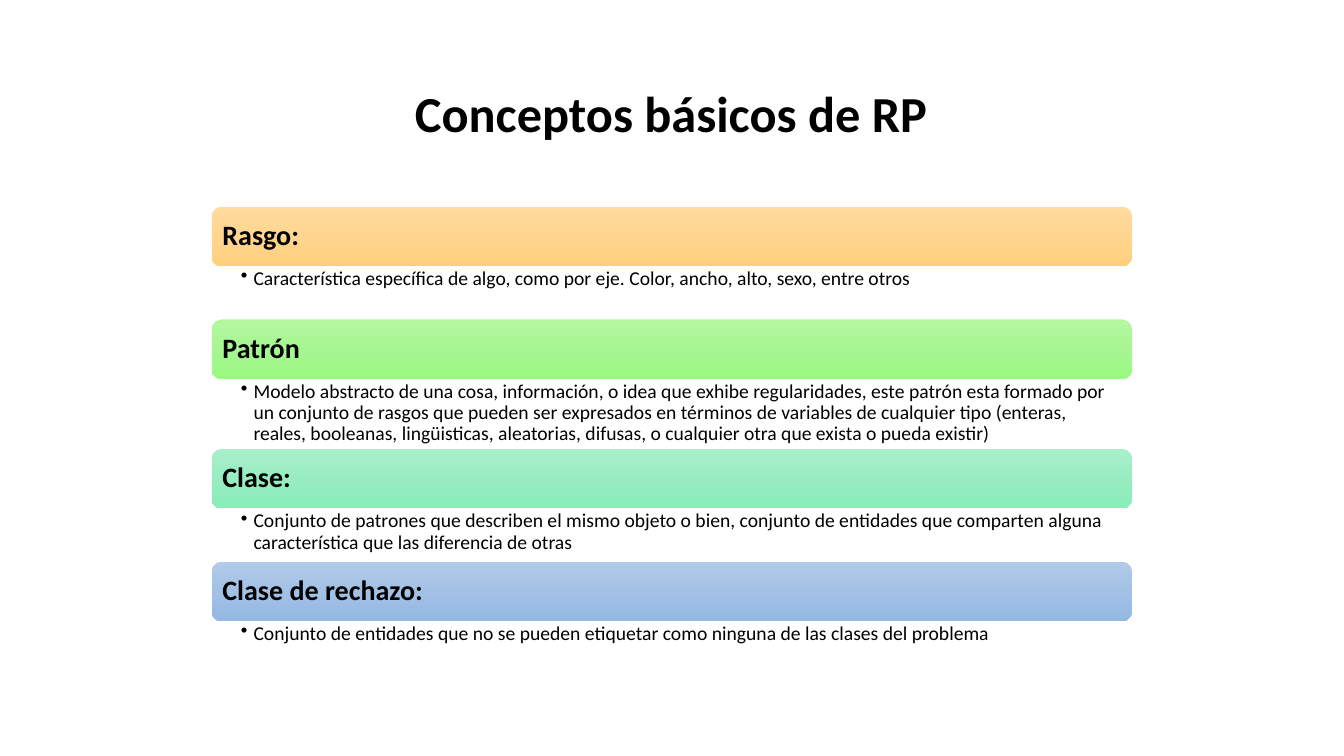
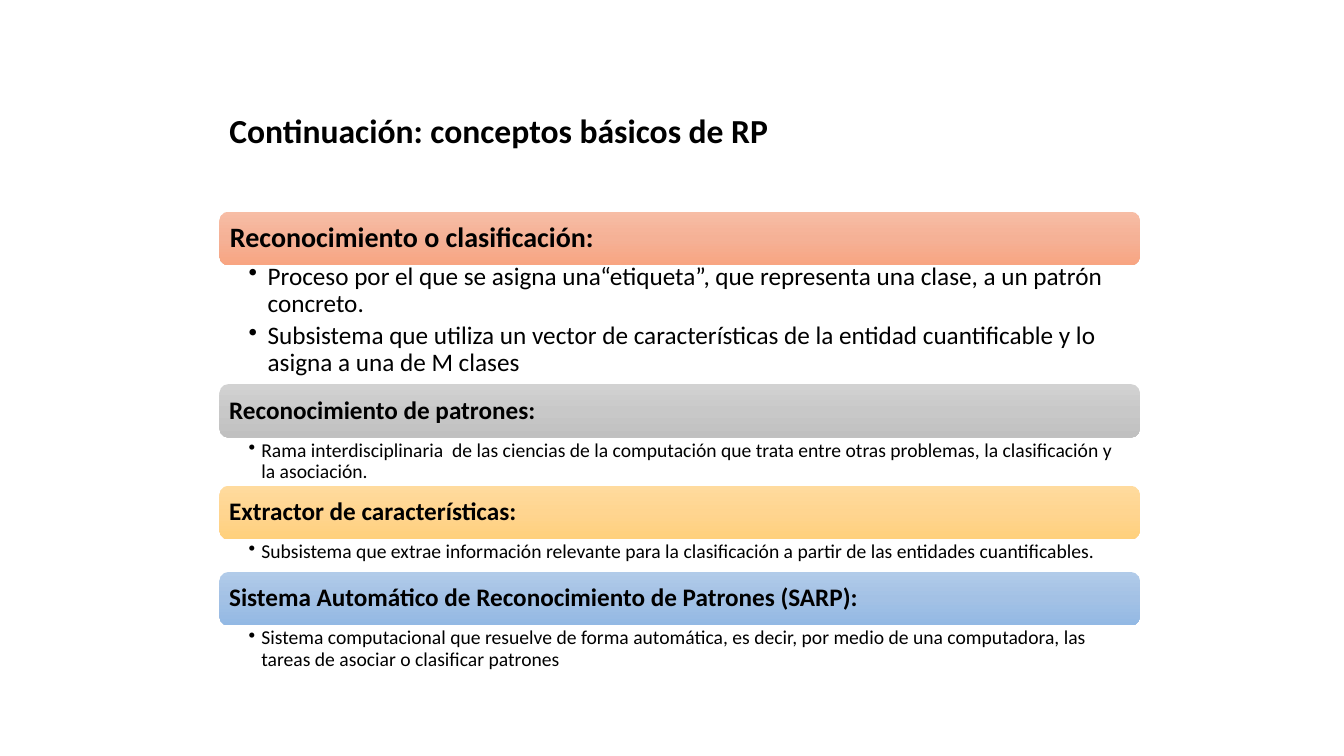
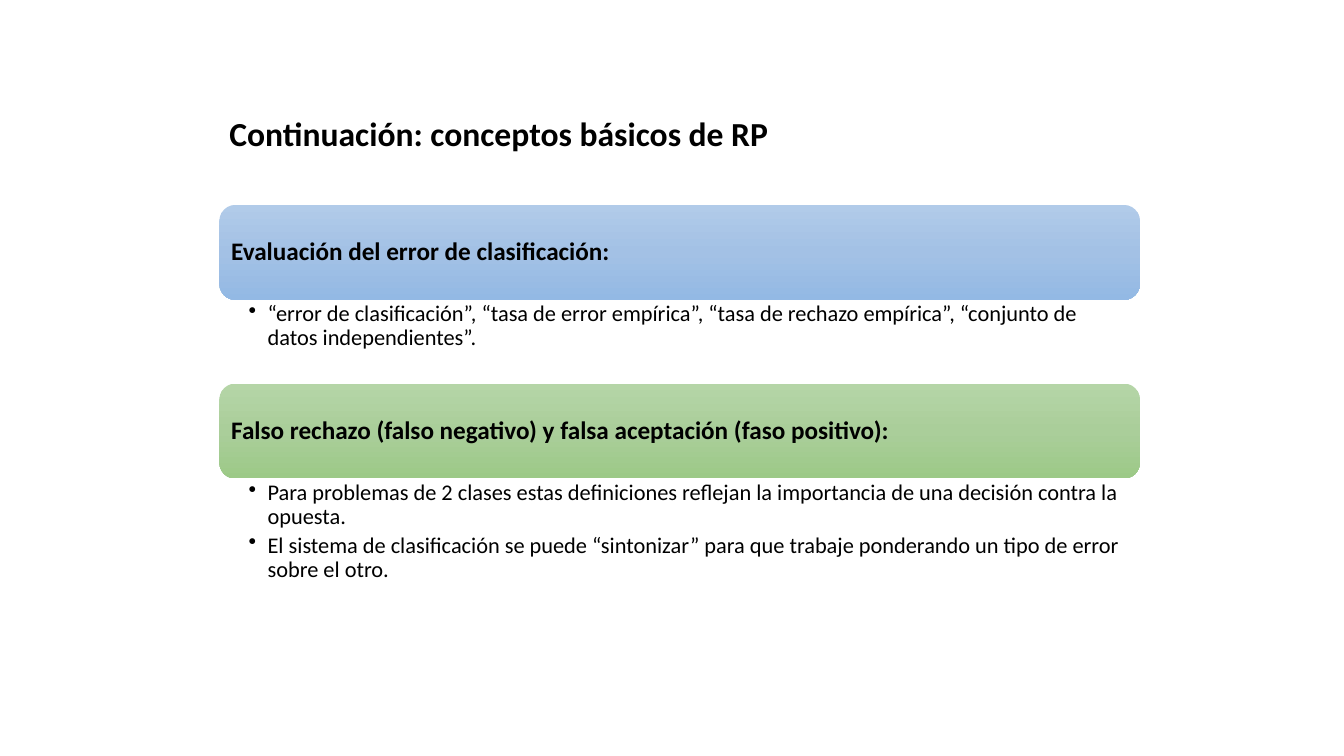
from copy import deepcopy

from pptx import Presentation
from pptx.dml.color import RGBColor
from pptx.enum.shapes import MSO_SHAPE
from pptx.enum.text import MSO_ANCHOR, PP_ALIGN
from pptx.oxml.ns import qn
from pptx.oxml.xmlchemy import OxmlElement
from pptx.util import Pt

# Colours: each band runs from top through middle to bottom
TEXT = "000000"
GRADIENTS = {
    "amber": ("FFDB9E", "FFD590", "FFD07C"),
    "lime": ("B3F8A1", "A7F693", "98FA7E"),
    "mint": ("A8F0CA", "99ECC1", "86EEB9"),
    "blue": ("B1CBE9", "A3C1E5", "93B9E4"),
    "coral": ("F7BDA5", "F5B196", "F8A582"),
    "grey": ("D2D2D2", "C8C8C8", "C0C0C0"),
    "green": ("B5D5A7", "AACE9A", "9CC987"),
}


class Deck:
    font = "Calibri"
    band_width = 657.4
    title_width, title_height = 612, 72.7

    def __init__(self):
        self.presentation = Presentation()
        self.presentation.slide_width = Pt(960)
        self.presentation.slide_height = Pt(540)
        self.slide = None

    def new_slide(self):
        self.slide = self.presentation.slides.add_slide(self.presentation.slide_layouts[6])

    def style(self, paragraph, size, bold=False):
        for run in paragraph.runs:
            run.font.name = self.font
            run.font.size = Pt(size)
            run.font.bold = bold
            run.font.color.rgb = RGBColor.from_string(TEXT)

    def frame(self, shape, insets, anchor):
        text_frame = shape.text_frame
        text_frame.word_wrap = True
        text_frame.vertical_anchor = anchor
        (text_frame.margin_left, text_frame.margin_top,
         text_frame.margin_right, text_frame.margin_bottom) = map(Pt, insets)
        return text_frame

    def title(self, wording, left, top, size, align=PP_ALIGN.LEFT):
        heading = self.slide.shapes.add_textbox(
            Pt(left), Pt(top), Pt(self.title_width), Pt(self.title_height))
        text_frame = self.frame(heading, (7.2, 3.6, 7.2, 3.6), MSO_ANCHOR.MIDDLE)
        text_frame.text = wording
        text_frame.paragraphs[0].alignment = align
        self.style(text_frame.paragraphs[0], size, bold=True)

    def band(self, term, left, top, height, colour, size):
        band = self.slide.shapes.add_shape(
            MSO_SHAPE.ROUNDED_RECTANGLE, Pt(left), Pt(top), Pt(self.band_width), Pt(height))
        band.shadow.inherit = False
        band.line.fill.background()
        band.fill.gradient()
        band.fill.gradient_angle = 270
        first_stop = band._element.spPr.find(".//" + qn("a:gs"))
        first_stop.addnext(deepcopy(first_stop))
        for index, shade in enumerate(GRADIENTS[colour]):
            stop = band.fill.gradient_stops[index]
            stop.position = index / 2
            stop.color.rgb = RGBColor.from_string(shade)

        inset = 0.28 * size
        text_frame = self.frame(band, [inset] * 4, MSO_ANCHOR.MIDDLE)
        text_frame.text = term
        paragraph = text_frame.paragraphs[0]
        paragraph.alignment = PP_ALIGN.LEFT
        paragraph.line_spacing = 0.9
        self.style(paragraph, size, bold=True)

    def definitions(self, lines, left, top, height, size, right_inset):
        box = self.slide.shapes.add_textbox(
            Pt(left), Pt(top), Pt(self.band_width), Pt(height))
        text_frame = self.frame(box, (20.9, 1.8, right_inset, 1.8), MSO_ANCHOR.TOP)
        text_frame.text = "\n".join(lines)
        hanging = Pt(9 if size <= 14 else 13.5)
        for paragraph in text_frame.paragraphs:
            properties = paragraph._p.get_or_add_pPr()
            properties.set("marL", str(hanging))
            properties.set("indent", str(-hanging))
            bullet = OxmlElement("a:buChar")
            bullet.set("char", "•")
            properties.append(bullet)
            paragraph.level = 1
            paragraph.line_spacing = 0.9
            paragraph.space_after = Pt(0.2 * size)
            self.style(paragraph, size)

    def glossary(self, entries, left, top, band_height, right_inset):
        """Stack bands and their definitions from top to bottom."""
        for term, colour, term_size, size, height, lift, lines in entries:
            self.band(term, left, top, band_height, colour, term_size)
            top += band_height
            self.definitions(lines, left, top - lift, height + lift, size, right_inset)
            top += height


# Entries: term, colour, term size, text size, text height, overlap with band, lines
BASICS = [
    ("Rasgo:", "amber", 20, 14, 38, 0,
     ["Característica específica de algo, como por eje. Color, ancho, alto, sexo, entre otros"]),
    ("Patrón", "lime", 20, 14, 49.8, 0,
     ["Modelo abstracto de una cosa, información, o idea que exhibe regularidades, este patrón "
      "esta formado por un conjunto de rasgos que pueden ser expresados en términos de variables "
      "de cualquier tipo (enteras, reales, booleanas, lingüisticas, aleatorias, difusas, o "
      "cualquier otra que exista o pueda existir)"]),
    ("Clase:", "mint", 20, 14, 38, 0,
     ["Conjunto de patrones que describen el mismo objeto o bien, conjunto de entidades que "
      "comparten alguna característica que las diferencia de otras"]),
    ("Clase de rechazo:", "blue", 20, 14, 38, 0,
     ["Conjunto de entidades que no se pueden etiquetar como ninguna de las clases del problema"]),
]
RECOGNITION = [
    ("Reconocimiento o clasificación:", "coral", 20, 18, 85, 3,
     ["Proceso por el que se asigna una“etiqueta”, que representa una clase, a un patrón concreto.",
      "Subsistema que utiliza un vector de características de la entidad cuantificable y lo "
      "asigna a una de M clases"]),
    ("Reconocimiento de patrones:", "grey", 18, 14, 34.4, 0,
     ["Rama interdisciplinaria  de las ciencias de la computación que trata entre otras "
      "problemas, la clasificación y la asociación."]),
    ("Extractor de características:", "amber", 18, 14, 23.4, 0,
     ["Subsistema que extrae información relevante para la clasificación a partir de las "
      "entidades cuantificables."]),
    ("Sistema Automático de Reconocimiento de Patrones (SARP):", "blue", 18, 14, 34.4, 0,
     ["Sistema computacional que resuelve de forma automática, es decir, por medio de una "
      "computadora, las tareas de asociar o clasificar patrones"]),
]
ERRORS = [
    ("Evaluación del error de clasificación:", "blue", 18, 16, 59.8, 0,
     ["“error de clasificación”, “tasa de error empírica”, “tasa de rechazo empírica”, "
      "“conjunto de datos independientes”."]),
    ("Falso rechazo (falso negativo) y falsa aceptación (faso positivo):", "green", 18, 16, 78.5, 0,
     ["Para problemas de 2 clases estas definiciones reflejan la importancia de una decisión "
      "contra la opuesta.",
      "El sistema de clasificación se puede “sintonizar” para que trabaje ponderando un tipo de "
      "error sobre el otro."]),
]
CONTINUATION = "Continuación: conceptos básicos de RP"


def main():
    deck = Deck()

    # Basic concepts
    deck.new_slide()
    deck.glossary(BASICS, left=151.2, top=147.6, band_height=42.6, right_inset=8)
    deck.title("Conceptos básicos de RP", left=173.5, top=44, size=36, align=PP_ALIGN.CENTER)

    # Recognition and classification
    deck.new_slide()
    deck.glossary(RECOGNITION, left=156.8, top=151.2, band_height=38.2, right_inset=10)
    deck.title(CONTINUATION, left=156.8, top=56.2, size=24)

    # Classification errors
    deck.new_slide()
    deck.glossary(ERRORS, left=156.8, top=146.4, band_height=67.8, right_inset=8.5)
    deck.title(CONTINUATION, left=156.8, top=58.3, size=24)

    deck.presentation.save("out.pptx")


if __name__ == "__main__":
    main()
